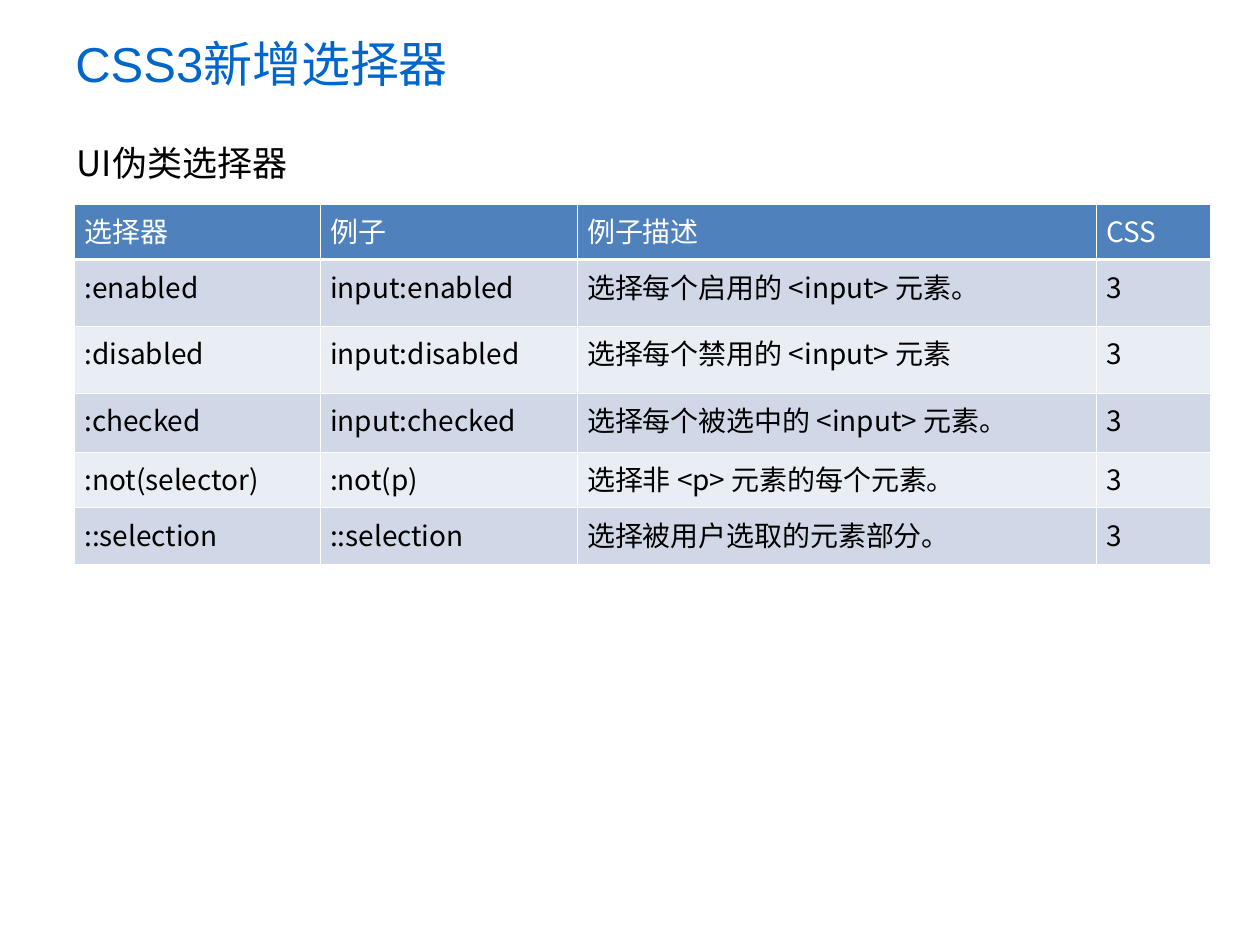
from typing import NamedTuple

from pptx import Presentation
from pptx import util as u
from pptx.dml.color import RGBColor
from pptx.enum import text
from pptx.oxml import ns
from lxml import etree

CJK = "Noto Sans CJK SC"
WHITE, BLACK, BLUE = "FFFFFF", "000000", "0066CC"
HEADER_FILL, BAND_FILLS = "4F81BD", ("D0D8E8", "E9EDF4")
THIN, THICK = 0.45, 1.47


class Selector(NamedTuple):
    name: str
    example: str
    description: str
    css: str
    height: float


SELECTORS = [
    Selector("选择器", "例子", "例子描述", "CSS", 0.44),
    Selector(":enabled", "input:enabled", "选择每个启用的 <input> 元素。", "3", 0.53),
    Selector(":disabled", "input:disabled", "选择每个禁用的 <input> 元素", "3", 0.53),
    Selector(":checked", "input:checked", "选择每个被选中的 <input> 元素。", "3", 0.47),
    Selector(":not(selector)", ":not(p)", "选择非 <p> 元素的每个元素。", "3", 0.44),
    Selector("::selection", "::selection", "选择被用户选取的元素部分。", "3", 0.45),
]
COLUMN_WIDTHS = (1.95, 2.04, 4.12, 0.91)


def rgb(colour: str) -> RGBColor:
    return RGBColor.from_string(colour)


def write(frame, words: str, *, size: float, colour: str = BLACK, font: str = CJK) -> None:
    run = frame.paragraphs[0].add_run()
    run.text = words
    run.font.size = u.Pt(size)
    run.font.color.rgb = rgb(colour)
    run.font.name = font
    east_asian = etree.SubElement(run.font._element, ns.qn("a:ea"))
    east_asian.set("typeface", CJK)


def add_heading(slide, words: str, box: tuple, *, anchor=text.MSO_ANCHOR.TOP, **style) -> None:
    frame = slide.shapes.add_textbox(*map(u.Inches, box)).text_frame
    frame.word_wrap = True
    frame.vertical_anchor = anchor
    write(frame, words, **style)


def add_border(cell, side: str, width: float) -> None:
    line = etree.SubElement(cell._tc.get_or_add_tcPr(), ns.qn(f"a:ln{side}"))
    line.set("w", str(int(u.Pt(width))))
    fill = etree.SubElement(line, ns.qn("a:solidFill"))
    etree.SubElement(fill, ns.qn("a:srgbClr")).set("val", WHITE)


def fill_cell(cell, words: str, row: int) -> None:
    is_header = row == 0
    cell.margin_left = u.Inches(0.08)
    write(cell.text_frame, words, size=16, colour=WHITE if is_header else BLACK)
    # The rule between header and body is the only thick one
    add_border(cell, "L", THIN)
    add_border(cell, "R", THIN)
    add_border(cell, "T", THICK if row == 1 else THIN)
    add_border(cell, "B", THICK if is_header else THIN)
    cell.fill.solid()
    cell.fill.fore_color.rgb = rgb(HEADER_FILL if is_header else BAND_FILLS[(row - 1) % 2])


def add_selector_table(slide, left: float, top: float) -> None:
    size = (sum(COLUMN_WIDTHS), sum(s.height for s in SELECTORS))
    table = slide.shapes.add_table(
        len(SELECTORS), len(COLUMN_WIDTHS), *map(u.Inches, (left, top, *size))
    ).table
    for column, width in zip(table.columns, COLUMN_WIDTHS):
        column.width = u.Inches(width)
    for row, selector in enumerate(SELECTORS):
        table.rows[row].height = u.Inches(selector.height)
        for column, words in enumerate(selector[:4]):
            fill_cell(table.cell(row, column), words, row)


def main() -> None:
    deck = Presentation()
    deck.slide_width, deck.slide_height = u.Inches(10), u.Inches(7.5)
    slide = deck.slides.add_slide(deck.slide_layouts[6])

    # Headings
    add_heading(slide, "CSS3新增选择器", (0.5, 0, 7.65, 1),
                anchor=text.MSO_ANCHOR.MIDDLE, size=28, colour=BLUE, font="Arial")
    add_heading(slide, "UI伪类选择器", (0.51, 1.07, 2.44, 0.44), size=20)

    # Selector table
    add_selector_table(slide, 0.59, 1.62)

    deck.save("out.pptx")


if __name__ == "__main__":
    main()
